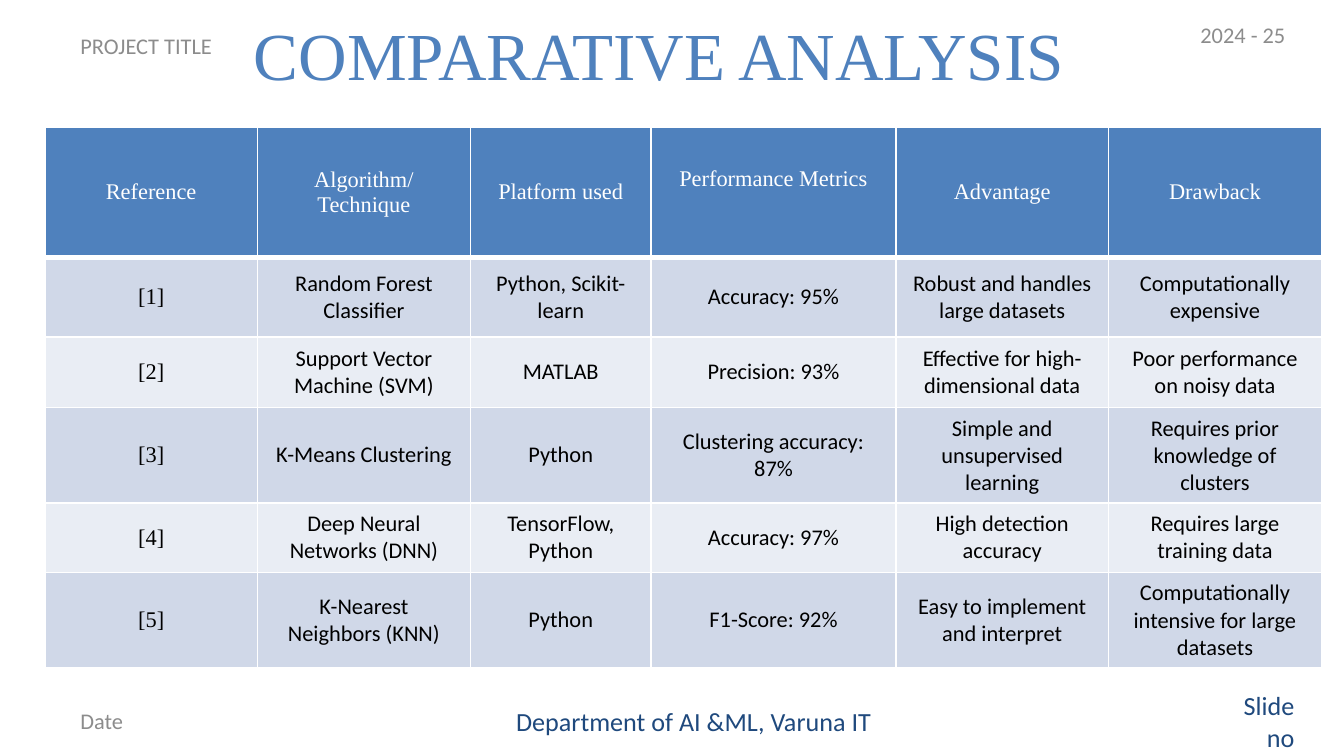
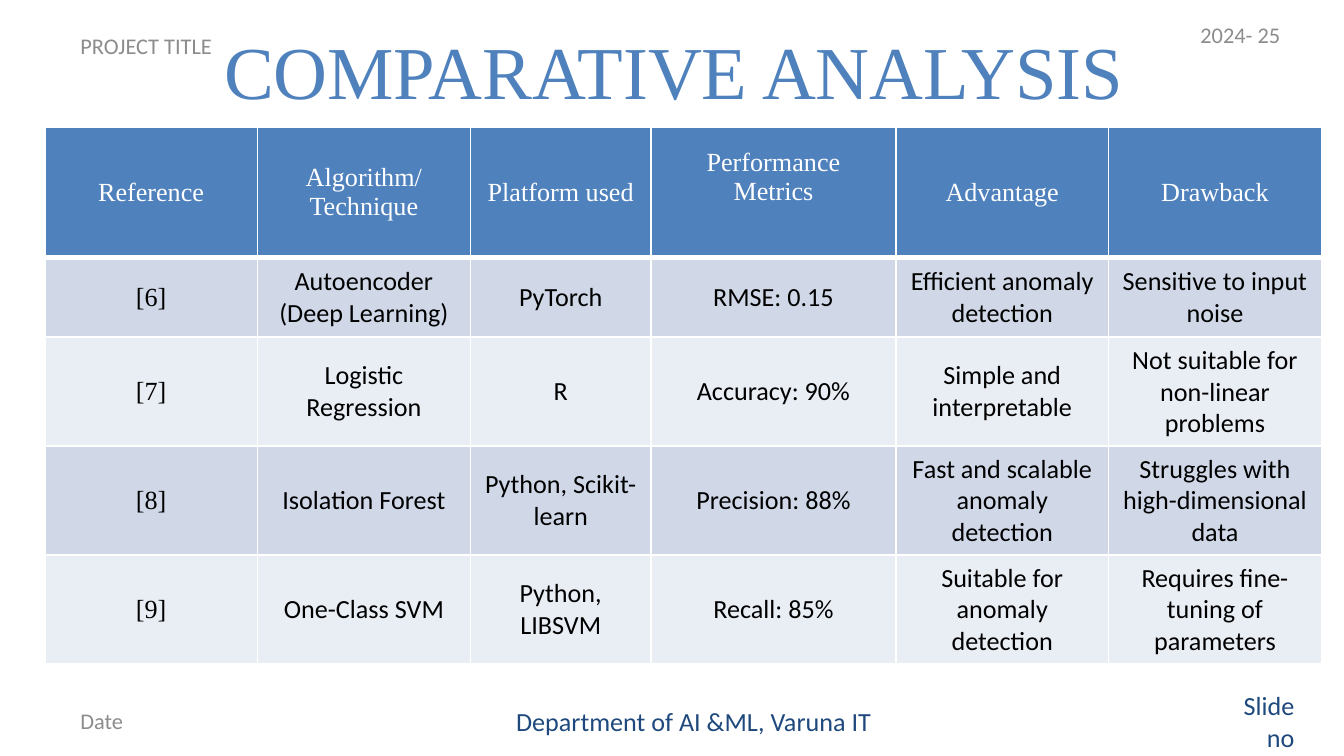
from lxml.etree import SubElement as Sub
from pptx import Presentation
from pptx.dml.color import RGBColor as Rgb
from pptx.enum.text import MSO_ANCHOR as Anchor, PP_ALIGN as Align
from pptx.oxml.ns import qn
from pptx.util import Inches, Pt

COLORS = {
    "title": "4F81BD", "head": "4F81BD", "white": "FFFFFF", "ink": "000000",
    "odd": "D0D8E8", "even": "E9EDF4", "gray": "8C8C8C", "navy": "1F497D",
}
SANS, SERIF = "Calibri", "Times New Roman"

# The slide is 120 columns wide; rows use the same unit
WIDE, HIGH = Inches(10), Inches(5.625)
UNIT = WIDE // 120
COLS = [19, 19, 16.15, 21.85, 19, 19]
ROWS = [11.65, 7.1, 6.3]
LOW = 6.2
GRID = (4, 11.35)

HEADS = ["Reference", "Algorithm/ Technique", "Platform used",
         "Performance Metrics", "Advantage", "Drawback"]

# Box, text, size, colour, alignment of the parts on every slide
FRAME = [
    ((108, 62.6, 8.75, 3.6), "Slide no", 14, "navy", Align.RIGHT),
    ((41, 62.55, 38, 3.6), "Department of AI &ML, Varuna IT", 14, "navy", Align.RIGHT),
    ((6, 2.8, 37, 2.6), "PROJECT TITLE", 12, "gray", Align.LEFT),
    ((6, 62.55, 28, 3.6), "Date", 12, "gray", Align.LEFT),
]
YEAR = (106, 0.75, 13, 4.6)

PAGES = [
    {
        "year": "2024 - 25", "box": (4.2, 0.5, 110.8, 8.65), "big": 36, "size": 12,
        "rows": [
            ["[1]", "Random Forest Classifier", "Python, Scikit-learn",
             "Accuracy: 95%", "Robust and handles large datasets",
             "Computationally expensive"],
            ["[2]", "Support Vector Machine (SVM)", "MATLAB", "Precision: 93%",
             "Effective for high-dimensional data", "Poor performance on noisy data"],
            ["[3]", "K-Means Clustering", "Python", "Clustering accuracy: 87%",
             "Simple and unsupervised learning",
             "Requires prior knowledge of clusters"],
            ["[4]", "Deep Neural Networks (DNN)", "TensorFlow, Python",
             "Accuracy: 97%", "High detection accuracy",
             "Requires large training data"],
            ["[5]", "K-Nearest Neighbors (KNN)", "Python", "F1-Score: 92%",
             "Easy to implement and interpret",
             "Computationally intensive for large datasets"],
        ],
    },
    {
        "year": "2024- 25", "box": (6, 0.7, 110, 11), "big": 40, "size": 14,
        "rows": [
            ["[6]", "Autoencoder (Deep Learning)", "PyTorch", "RMSE: 0.15",
             "Efficient anomaly detection", "Sensitive to input noise"],
            ["[7]", "Logistic Regression", "R", "Accuracy: 90%",
             "Simple and interpretable", "Not suitable for non-linear problems"],
            ["[8]", "Isolation Forest", "Python, Scikit-learn", "Precision: 88%",
             "Fast and scalable anomaly detection",
             "Struggles with high-dimensional data"],
            ["[9]", "One-Class SVM", "Python, LIBSVM", "Recall: 85%",
             "Suitable for anomaly detection", "Requires fine-tuning of parameters"],
        ],
    },
]


def span(*units):
    return [int(u * UNIT) for u in units]


def write(frame, text, size, color, align, face=SANS):
    para = frame.paragraphs[0]
    para.alignment = align
    run = para.add_run()
    run.text = text
    font = run.font
    font.size, font.name, font.bold = Pt(size), face, False
    font.color.rgb = Rgb.from_string(COLORS[color])


def label(slide, box, text, size, color, align):
    frame = slide.shapes.add_textbox(*span(*box)).text_frame
    frame.word_wrap = True
    frame.vertical_anchor = Anchor.MIDDLE
    write(frame, text, size, color, align)


def heading(slide, box, size):
    title = slide.shapes.title
    title.left, title.top, title.width, title.height = span(*box)
    title.text_frame.vertical_anchor = Anchor.MIDDLE
    write(title.text_frame, "COMPARATIVE ANALYSIS ", size, "title",
          Align.CENTER, SERIF)


def edge(cell, low):
    """White lines round a cell, the bottom one of the given width."""
    props = cell._tc.get_or_add_tcPr()
    sides = [("lnL", 1), ("lnR", 1), ("lnT", 1), ("lnB", low)]
    for spot, (side, width) in enumerate(sides):
        line = Sub(props, qn(f"a:{side}"), w=str(Pt(width)))
        fill = Sub(line, qn("a:solidFill"))
        Sub(fill, qn("a:srgbClr"), val=COLORS["white"])
        props.insert(spot, line)


def matrix(slide, spot, rows, size):
    data = [HEADS] + rows
    tall = ROWS + [LOW] * (len(data) - len(ROWS))
    box = span(*spot, sum(COLS), sum(tall))
    table = slide.shapes.add_table(len(data), len(COLS), *box).table
    for col, width in zip(table.columns, span(*COLS)):
        col.width = width
    for row, height in zip(table.rows, span(*tall)):
        row.height = height
    for r, texts in enumerate(data):
        tone = "head" if r == 0 else "odd" if r % 2 else "even"
        for c, text in enumerate(texts):
            cell = table.cell(r, c)
            cell.vertical_anchor = Anchor.MIDDLE
            cell.margin_top = cell.margin_bottom = Inches(0.055)
            cell.fill.solid()
            cell.fill.fore_color.rgb = Rgb.from_string(COLORS[tone])
            face = SANS if r and c else SERIF
            write(cell.text_frame, text, size, "ink" if r else "white",
                  Align.CENTER, face)
            edge(cell, 1 if r else 3)
    # The metrics heading sits half a line above the others
    table.cell(0, 3).margin_bottom = Inches(0.055) + Pt(size * 1.15)


def page(deck, info):
    slide = deck.slides.add_slide(deck.slide_layouts[5])
    for part in FRAME:
        label(slide, *part)
    label(slide, YEAR, info["year"], 12, "gray", Align.LEFT)
    heading(slide, info["box"], info["big"])
    matrix(slide, GRID, info["rows"], info["size"])


def main():
    deck = Presentation()
    deck.slide_width, deck.slide_height = WIDE, HIGH
    for info in PAGES:
        page(deck, info)
    deck.save("out.pptx")


if __name__ == "__main__":
    main()
